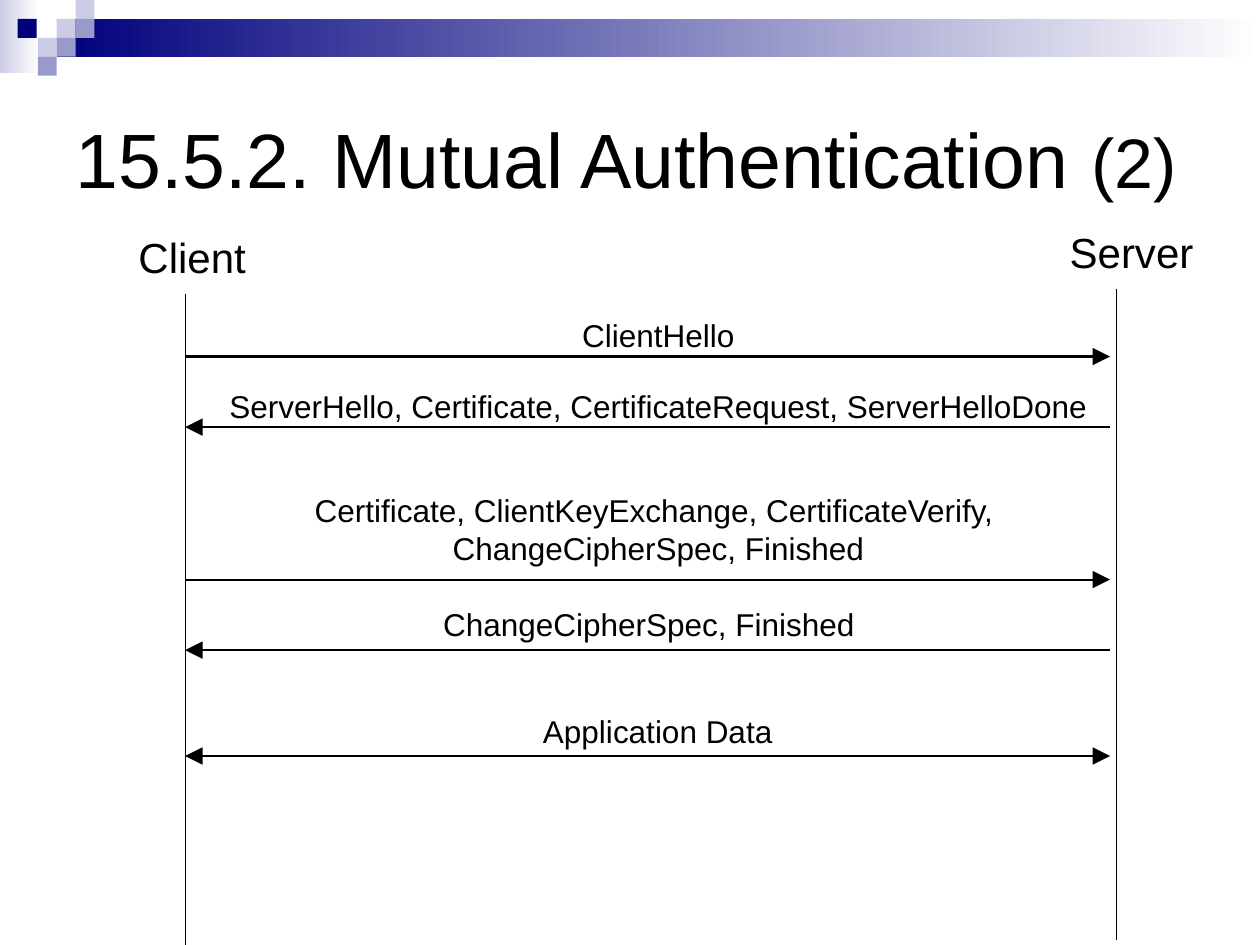
"""Build the mutual authentication sequence diagram slide."""
from lxml import etree
from pptx import Presentation, util as u
from pptx.dml.color import RGBColor
from pptx.enum import shapes, text
from pptx.oxml import ns

COLORS = {"ink": "000000", "navy": "00007D", "mid": "9999CC",
          "pale": "CCCCE6", "white": "FFFFFF"}
CLIENT_X, SERVER_X, ARROW_RIGHT = 1.47, 8.86, 8.81


def add_line(start, end, width, arrowheads=()):
    line = slide.shapes.add_connector(
        shapes.MSO_CONNECTOR.STRAIGHT, *map(u.Inches, start + end))
    line.line.width = u.Pt(width)
    line.line.color.rgb = RGBColor.from_string(COLORS["ink"])
    properties = line._element.spPr
    outline = properties.find(ns.qn("a:ln"))
    for tag in arrowheads:
        etree.SubElement(outline, ns.qn(tag), type="triangle", w="lg", len="lg")
    etree.SubElement(properties, ns.qn("a:effectLst"))


def add_label(wording, left, top, width, height, size):
    frame = slide.shapes.add_textbox(
        *map(u.Inches, (left, top, width, height))).text_frame
    frame.word_wrap = False
    frame.auto_size = text.MSO_AUTO_SIZE.SHAPE_TO_FIT_TEXT
    frame.text = wording
    paragraph = frame.paragraphs[0]
    paragraph.alignment = text.PP_ALIGN.CENTER
    paragraph.font.name = "Arial"
    paragraph.font.size = u.Pt(size)
    paragraph.font.color.rgb = RGBColor.from_string(COLORS["ink"])


deck = Presentation()
deck.slide_width, deck.slide_height = u.Inches(10), u.Inches(7.5)
slide = deck.slides.add_slide(deck.slide_layouts[5])

banner = [
    (0, 0, 0.31, 0.58, ("pale", "white")),
    (0.45, 0.15, 9.55, 0.3, ("navy", "white")),
]
tiles = [(0.45, 0.15, "pale"), (0.6, 0, "pale"), (0.6, 0.15, "mid"),
         (0.3, 0.3, "pale"), (0.14, 0.15, "navy"), (0.45, 0.3, "mid"),
         (0.3, 0.45, "mid")]
banner += [(left, top, 0.15, 0.15, (color,)) for left, top, color in tiles]
for left, top, width, height, shades in banner:
    block = slide.shapes.add_shape(
        shapes.MSO_SHAPE.RECTANGLE, *map(u.Inches, (left, top, width, height)))
    block.shadow.inherit = False
    block.line.fill.background()
    if len(shades) == 1:
        block.fill.solid()
        block.fill.fore_color.rgb = RGBColor.from_string(COLORS[shades[0]])
    else:
        block.fill.gradient()
        block.fill.gradient_angle = 0
        for stop, shade in zip(block.fill.gradient_stops, shades):
            stop.color.rgb = RGBColor.from_string(COLORS[shade])

title = slide.shapes.title
title.left, title.top = u.Inches(0.5), u.Inches(0.5)
title.width, title.height = u.Inches(9), u.Inches(1.5)
title.text_frame.vertical_anchor = text.MSO_ANCHOR.MIDDLE
title.text_frame.auto_size = text.MSO_AUTO_SIZE.NONE
heading = title.text_frame.paragraphs[0]
heading.alignment = text.PP_ALIGN.LEFT
heading.font.name = "Arial"
heading.font.color.rgb = RGBColor.from_string(COLORS["ink"])
for wording, size in [("15.5.2. Mutual Authentication ", 44), ("(2)", 40)]:
    run = heading.add_run()
    run.text = wording
    run.font.size = u.Pt(size)

for party, x, left, top, width in [("Client", CLIENT_X, 1, 1.79, 1.05),
                                   ("Server", SERVER_X, 8.39, 1.75, 1.18)]:
    add_label(party, left, top, width, 0.5, 24)
    add_line((x, top + 0.54), (x, top + 5.71), 0.75)

messages = [
    ("ClientHello", "to server", 2.83, (4.52, 2.46, 1.41, 0.4)),
    ("ServerHello, Certificate, CertificateRequest, ServerHelloDone",
     "to client", 3.39, (1.71, 3.02, 7.03, 0.4)),
    ("Certificate, ClientKeyExchange, CertificateVerify, \v"
     "ChangeCipherSpec, Finished", "to server", 4.6, (2.37, 3.85, 5.71, 0.7)),
    ("ChangeCipherSpec, Finished", "to client", 5.16, (3.4, 4.75, 3.5, 0.4)),
    ("Application Data", "both", 6, (4.2, 5.6, 2.04, 0.4)),
]
for wording, direction, y, place in messages:
    ends = [(CLIENT_X, y), (ARROW_RIGHT, y)]
    if direction == "to client":
        ends.reverse()
    heads = ("a:headEnd", "a:tailEnd") if direction == "both" else ("a:tailEnd",)
    add_line(*ends, 1.25, heads)
    add_label(wording, *place, 18)

deck.save("out.pptx")
